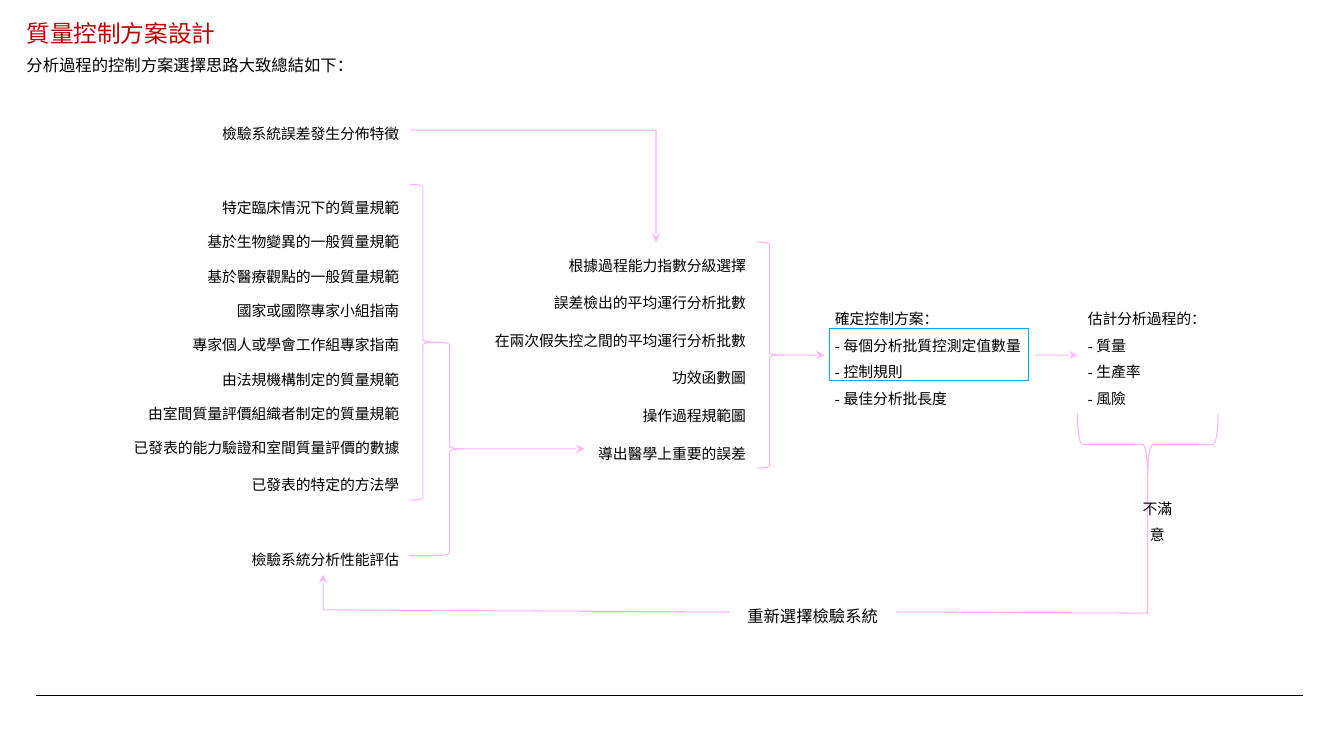
"""Draw the flow for choosing a quality control plan."""
from dataclasses import dataclass

from lxml import etree
from pptx import Presentation
from pptx.dml.color import RGBColor
from pptx.enum.dml import MSO_LINE
from pptx.enum.shapes import MSO_CONNECTOR, MSO_SHAPE
from pptx.enum.text import MSO_AUTO_SIZE, PP_ALIGN
from pptx.oxml.ns import qn
from pptx.util import Inches, Pt

LEFT, CENTER, RIGHT = PP_ALIGN.LEFT, PP_ALIGN.CENTER, PP_ALIGN.RIGHT
STRAIGHT = MSO_CONNECTOR.STRAIGHT
BRACE, RECT = MSO_SHAPE.RIGHT_BRACE, MSO_SHAPE.RECTANGLE
FIT, DOTTED = MSO_AUTO_SIZE.SHAPE_TO_FIT_TEXT, MSO_LINE.ROUND_DOT

COLS, ROWS = 126, 70.9
WIDTH, HEIGHT = Inches(12.6), Inches(7.09)


@dataclass(frozen=True)
class Theme:
    """Colours, fonts and sizes of the slide."""
    title: str = "C00000"
    ink: str = "000000"
    flow: str = "FF00FF"
    frame: str = "00B0F0"
    title_font: str = "Arial"
    body_font: str = "Times New Roman"
    title_size: float = 16
    lead_size: float = 11
    body_size: float = 10
    flow_width: float = 0.7
    rule_width: float = 0.5
    frame_width: float = 0.25
    flow_alpha: int = 30000


@dataclass(frozen=True)
class Label:
    """Text lines in a box placed by column and row."""
    lines: tuple[str, ...]
    col: float
    row: float
    cols: float
    rows: float
    align: PP_ALIGN = LEFT
    size: float = Theme.body_size
    font: str = Theme.body_font
    color: str = Theme.ink
    spacing: float = 1.5


@dataclass(frozen=True)
class Line:
    """A straight line between two grid points."""
    start: tuple[float, float]
    end: tuple[float, float]
    arrow: bool = False
    color: str = Theme.flow
    width: float = Theme.flow_width
    alpha: int | None = Theme.flow_alpha


@dataclass(frozen=True)
class Brace:
    """A right brace in a grid box."""
    col: float
    row: float
    cols: float
    rows: float
    turn: float = 0


def x(cols: float) -> int:
    """Convert columns to a length."""
    return round(WIDTH * cols / COLS)


def y(rows: float) -> int:
    """Convert rows to a length."""
    return round(HEIGHT * rows / ROWS)


def style_line(sp, color: str, width: float, alpha: int | None = None) -> None:
    """Set the colour, width and opacity of a line."""
    sp.line.color.rgb = RGBColor.from_string(color)
    sp.line.width = Pt(width)
    if alpha is not None:
        clr = sp.line._get_or_add_ln().find(".//" + qn("a:srgbClr"))
        etree.SubElement(clr, qn("a:alpha"), val=str(alpha))


def draw_label(s, label: Label) -> None:
    """Add a text box with one paragraph a line."""
    sp = s.shapes.add_textbox(x(label.col), y(label.row), x(label.cols), y(label.rows))
    tf = sp.text_frame
    tf.word_wrap = True
    tf.auto_size = FIT
    for i, line in enumerate(label.lines):
        p = tf.add_paragraph() if i else tf.paragraphs[0]
        p.alignment = label.align
        p.line_spacing = label.spacing
        r = p.add_run()
        r.text = line
        r.font.name = label.font
        r.font.size = Pt(label.size)
        r.font.color.rgb = RGBColor.from_string(label.color)


def draw_line(s, line: Line) -> None:
    """Add a connector, with an arrowhead at its end if asked."""
    (c1, r1), (c2, r2) = line.start, line.end
    sp = s.shapes.add_connector(STRAIGHT, x(c1), y(r1), x(c2), y(r2))
    style_line(sp, line.color, line.width, line.alpha)
    if line.arrow:
        etree.SubElement(sp.line._get_or_add_ln(), qn("a:tailEnd"), type="stealth")
    etree.SubElement(sp._element.spPr, qn("a:effectLst"))


def draw_brace(s, brace: Brace) -> None:
    """Add an unfilled brace."""
    sp = s.shapes.add_shape(BRACE, x(brace.col), y(brace.row), x(brace.cols), y(brace.rows))
    sp.rotation = brace.turn
    sp.shadow.inherit = False
    sp.fill.background()
    style_line(sp, Theme.flow, Theme.flow_width, Theme.flow_alpha)


def draw_frame(s, col: float, row: float, cols: float, rows: float) -> None:
    """Add the dotted frame around the key choice."""
    sp = s.shapes.add_shape(RECT, x(col), y(row), x(cols), y(rows))
    sp.shadow.inherit = False
    sp.fill.background()
    style_line(sp, Theme.frame, Theme.frame_width)
    sp.line.dash_style = DOTTED


def right_labels(texts: tuple[str, ...], edge: float, row: float, step: float) -> list[Label]:
    """Stack labels that end at one edge, each as wide as its text."""
    labels = []
    for i, text in enumerate(texts):
        cols = 2 + 1.41 * len(text)
        labels.append(Label((text,), edge - cols, row + i * step, cols, step, RIGHT))
    return labels


SOURCES = (
    "特定臨床情況下的質量規範", "基於生物變異的一般質量規範", "基於醫療觀點的一般質量規範",
    "國家或國際專家小組指南", "專家個人或學會工作組專家指南", "由法規機構制定的質量規範",
    "由室間質量評價組織者制定的質量規範", "已發表的能力驗證和室間質量評價的數據",
)
TOOLS = (
    "根據過程能力指數分級選擇", "誤差檢出的平均運行分析批數", "在兩次假失控之間的平均運行分析批數",
    "功效函數圖", "操作過程規範圖", "導出醫學上重要的誤差",
)
PLAN = ("確定控制方案：", "- 每個分析批質控測定值數量", "- 控制規則", "- 最佳分析批長度")
ESTIMATE = ("估計分析過程的：", "- 質量", "- 生產率", "- 風險")

LABELS = [
    Label(("質量控制方案設計",), 1.5, 1.3, 68.9, 3.7, size=Theme.title_size,
          font=Theme.title_font, color=Theme.title, spacing=1),
    Label(("分析過程的控制方案選擇思路大致總結如下：",), 1.5, 3.8, 32.9, 3.8, size=Theme.lead_size),
    *right_labels(("檢驗系統誤差發生分佈特徵",), 38.4, 10.4, 3.5),
    *right_labels(SOURCES, 38.4, 17.3, 3.22),
    *right_labels(("已發表的特定的方法學", "檢驗系統分析性能評估"), 38.4, 43.3, 7),
    *right_labels(TOOLS, 70.9, 22.7, 3.53),
    Label(PLAN, 77.3, 27.7, 19.7, 11.1),
    Label(ESTIMATE, 101, 27.7, 13.2, 11.1),
    Label(("不滿意",), 106, 45.5, 5, 6.1, CENTER),
    Label(("重新選擇檢驗系統",), 68.4, 55.4, 15.6, 3.8, CENTER, Theme.lead_size),
]
BRACES = [
    Brace(38.4, 17.3, 2.5, 29.6),
    Brace(40.9, 32.1, 2.5, 20),
    Brace(70.9, 22.7, 2.5, 21.2),
    Brace(104.7, 35.1, 5.8, 13.2, 90),
]
LINES = [
    Line((3.4, 65.2), (122.2, 65.2), color=Theme.ink, width=Theme.rule_width, alpha=None),
    Line((38.4, 12.2), (61.5, 12.2)),
    Line((61.5, 12.2), (61.5, 22.7), arrow=True),
    Line((38.4, 52.1), (40.9, 52.1)),
    Line((43.3, 42.1), (54.8, 42.1), arrow=True),
    Line((73.3, 33.3), (77.3, 33.3), arrow=True),
    Line((97, 33.3), (101, 33.3), arrow=True),
    Line((107.6, 44.6), (107.6, 57.5)),
    Line((84, 57.4), (107.6, 57.5)),
    Line((30.3, 57.2), (68.4, 57.4)),
    Line((30.3, 57.2), (30.3, 53.9), arrow=True),
]


def main() -> None:
    """Build and save the slide."""
    prs = Presentation()
    prs.slide_width, prs.slide_height = WIDTH, HEIGHT
    s = prs.slides.add_slide(prs.slide_layouts[6])
    for line in LINES:
        draw_line(s, line)
    for brace in BRACES:
        draw_brace(s, brace)
    for label in LABELS:
        draw_label(s, label)
    draw_frame(s, 77.7, 30.8, 18.7, 4.9)
    prs.save("out.pptx")


if __name__ == "__main__":
    main()
